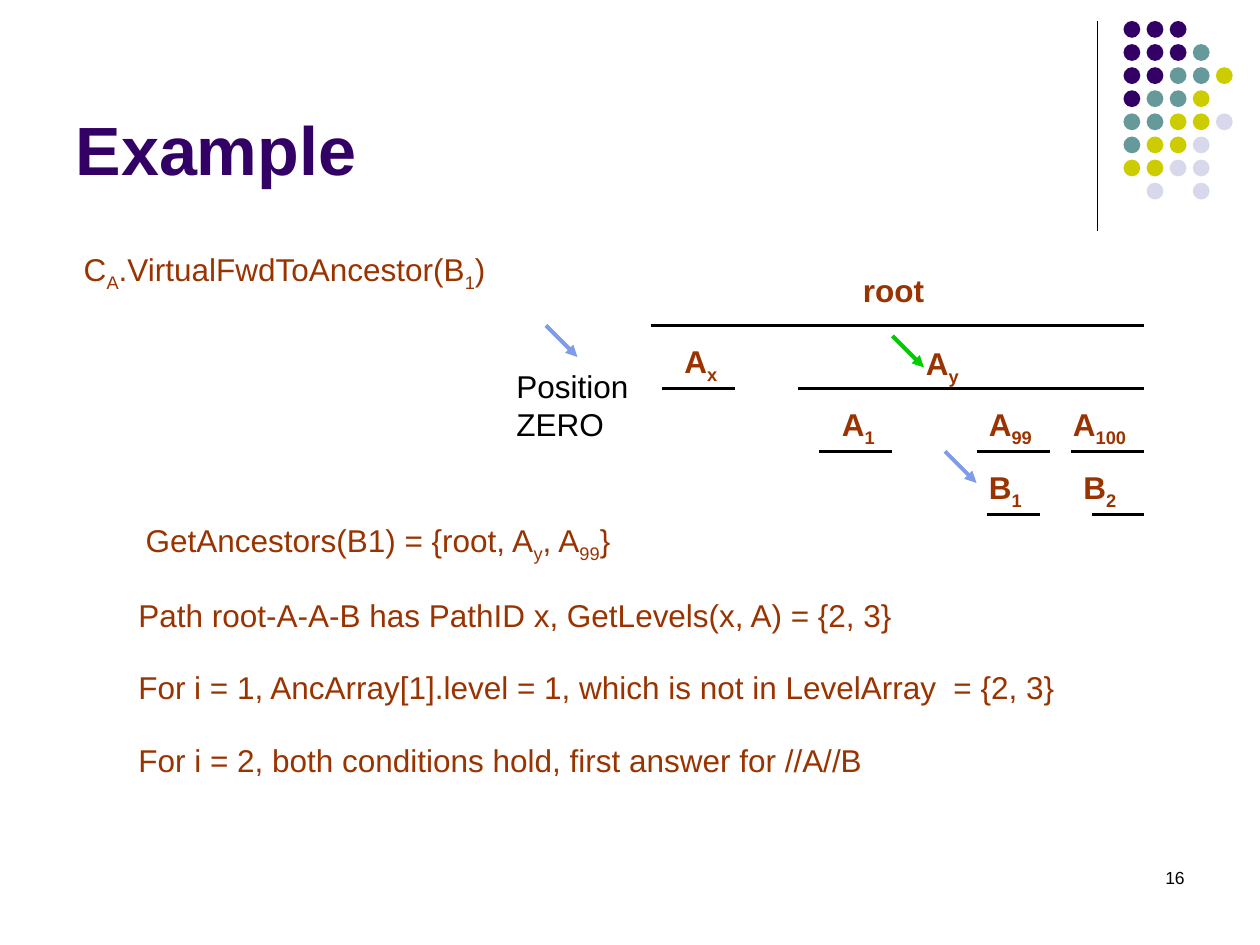
import dataclasses
import typing

import lxml.etree
import pptx
import pptx.dml.color
import pptx.enum.shapes
import pptx.enum.text
import pptx.oxml.ns
import pptx.slide
import pptx.text.text
import pptx.util

EMU_PER_PX = 7620  # 120 px to the inch
FONT = "Arial"

BLACK = pptx.dml.color.RGBColor(0x00, 0x00, 0x00)
PURPLE = pptx.dml.color.RGBColor(0x33, 0x00, 0x66)
TEAL = pptx.dml.color.RGBColor(0x66, 0x99, 0x99)
YELLOW = pptx.dml.color.RGBColor(0xCC, 0xCC, 0x00)
LAVENDER = pptx.dml.color.RGBColor(0xD8, 0xD8, 0xEC)
BROWN = pptx.dml.color.RGBColor(0x99, 0x33, 0x00)
BLUE = pptx.dml.color.RGBColor(0x7E, 0x9C, 0xE8)
GREEN = pptx.dml.color.RGBColor(0x00, 0xCC, 0x00)

LEFT = pptx.enum.text.PP_ALIGN.LEFT
RIGHT = pptx.enum.text.PP_ALIGN.RIGHT

# Corner ornament: one letter per dot, "." for a gap
DOT_COLORS = {"P": PURPLE, "T": TEAL, "Y": YELLOW, "L": LAVENDER}
DOT_ROWS = ("PPP..", "PPPT.", "PPTTY", "PTTY.", "TTYYL", "TYYL.", "YYLL.", ".L.L.")
DOT_LEFT, DOT_TOP, DOT_PITCH, DOT_SIZE = 1070, 20, 22, 16


@dataclasses.dataclass(frozen=True)
class Line:
    x1: int
    y1: int
    x2: int
    y2: int
    color: pptx.dml.color.RGBColor = BLACK
    width: float = 2.25
    arrow: bool = False


@dataclasses.dataclass(frozen=True)
class Label:
    """Text in which every second part between bars is a subscript."""
    text: str
    left: int
    top: int
    width: int
    height: int
    color: pptx.dml.color.RGBColor = BROWN
    size: int = 18
    bold: bool = False
    wrap: bool = False
    indent: int = 0
    align: pptx.enum.text.PP_ALIGN = LEFT


def px(value: int) -> pptx.util.Emu:
    return pptx.util.Emu(value * EMU_PER_PX)


def set_attributes(target: typing.Any, values: dict[str, typing.Any]) -> None:
    for name, value in values.items():
        setattr(target, name, value)


def draw_line(slide: pptx.slide.Slide, line: Line) -> None:
    connector = slide.shapes.add_connector(
        pptx.enum.shapes.MSO_CONNECTOR.STRAIGHT,
        px(line.x1), px(line.y1), px(line.x2), px(line.y2))
    connector.line.color.rgb = line.color
    connector.line.width = pptx.util.Pt(line.width)
    if line.arrow:
        outline = connector.line._get_or_add_ln()
        lxml.etree.SubElement(outline, pptx.oxml.ns.qn("a:tailEnd"), type="triangle")
    properties = connector._element.spPr
    lxml.etree.SubElement(properties, pptx.oxml.ns.qn("a:effectLst"))


def draw_dots(slide: pptx.slide.Slide) -> None:
    for row, letters in enumerate(DOT_ROWS):
        for column, letter in enumerate(letters):
            if letter == ".":
                continue
            dot = slide.shapes.add_shape(
                pptx.enum.shapes.MSO_SHAPE.OVAL,
                px(DOT_LEFT + column * DOT_PITCH), px(DOT_TOP + row * DOT_PITCH),
                px(DOT_SIZE), px(DOT_SIZE))
            dot.shadow.inherit = False
            dot.fill.solid()
            dot.fill.fore_color.rgb = DOT_COLORS[letter]
            dot.line.fill.background()


def write_paragraph(paragraph: pptx.text.text._Paragraph, text: str, label: Label) -> None:
    paragraph.alignment = label.align
    if label.indent:
        paragraph.space_before = pptx.util.Pt(4.5)
        paragraph._p.get_or_add_pPr().set("marL", str(px(label.indent)))
    for index, part in enumerate(text.split("|")):
        run = paragraph.add_run()
        run.text = part
        set_attributes(run.font, {
            "name": FONT, "size": pptx.util.Pt(label.size), "bold": label.bold})
        run.font.color.rgb = label.color
        if index % 2:
            run._r.get_or_add_rPr().set("baseline", "-25000")


def draw_label(slide: pptx.slide.Slide, label: Label) -> None:
    box = slide.shapes.add_textbox(
        px(label.left), px(label.top), px(label.width), px(label.height))
    frame = box.text_frame
    frame.word_wrap = label.wrap
    for index, text in enumerate(label.text.split("\n")):
        paragraph = frame.add_paragraph() if index else frame.paragraphs[0]
        write_paragraph(paragraph, text, label)


def write_title(slide: pptx.slide.Slide, label: Label) -> None:
    title = slide.shapes.title
    set_attributes(title, {
        "left": px(label.left), "top": px(label.top),
        "width": px(label.width), "height": px(label.height)})
    set_attributes(title.text_frame, {
        "word_wrap": label.wrap,
        "auto_size": pptx.enum.text.MSO_AUTO_SIZE.NONE,
        "vertical_anchor": pptx.enum.text.MSO_ANCHOR.BOTTOM})
    write_paragraph(title.text_frame.paragraphs[0], label.text, label)


def node(text: str, left: int, top: int, width: int = 70, height: int = 53) -> Label:
    return Label(text, left, top, width, height, bold=True, wrap=True)


def bar(left: int, right: int, y: int) -> Line:
    return Line(left, y, right, y)


def arrow(x: int, y: int, color: pptx.dml.color.RGBColor) -> Line:
    return Line(x, y, x + 30, y + 30, color, arrow=True)


TITLE = Label("Example", 60, 16, 990, 170, PURPLE, 39, bold=True, wrap=True)

LINES = (
    Line(1045, 20, 1045, 220, width=0.75),
    # Tree levels
    bar(620, 1090, 310),
    bar(760, 1090, 370), bar(630, 700, 370),
    bar(780, 850, 430), bar(930, 1000, 430), bar(1020, 1090, 430),
    bar(940, 990, 490), bar(1040, 1090, 490),
    # Cursors
    arrow(900, 430, BLUE), arrow(520, 310, BLUE), arrow(850, 320, GREEN),
)

LABELS = (
    # Tree nodes
    node("root", 810, 252, 110, 48),
    node("A|x", 640, 320), node("A|y", 870, 322),
    node("A|1", 790, 380), node("A|99", 930, 380), node("A|100", 1010, 380, 90),
    node("B|1", 930, 440), node("B|2", 1020, 440),
    Label("Position\nZERO", 480, 344, 131, 84, BLACK),
    # Worked steps
    Label("C|A|.VirtualFwdToAncestor(B|1|)", 68, 232, 410, 53),
    Label("GetAncestors(B1) = {root, A|y|, A|99|}", 67, 490, 529, 53, indent=60),
    Label("Path root-A-A-B has PathID x, GetLevels(x, A) = {2, 3}",
          60, 562, 803, 48, indent=60),
    Label("For i = 1, AncArray[1].level = 1, which is not in LevelArray  = {2, 3}",
          60, 630, 967, 48, indent=60),
    Label("For i = 2, both conditions hold, first answer for //A//B",
          60, 700, 781, 48, indent=60),
    # Slide number
    Label("16", 860, 820, 280, 60, BLACK, 10, wrap=True, align=RIGHT),
)


def main() -> None:
    presentation = pptx.Presentation()
    set_attributes(presentation, {"slide_width": px(1200), "slide_height": px(900)})
    slide = presentation.slides.add_slide(presentation.slide_layouts[5])
    write_title(slide, TITLE)
    draw_dots(slide)
    for line in LINES:
        draw_line(slide, line)
    for label in LABELS:
        draw_label(slide, label)
    presentation.save("out.pptx")


if __name__ == "__main__":
    main()
